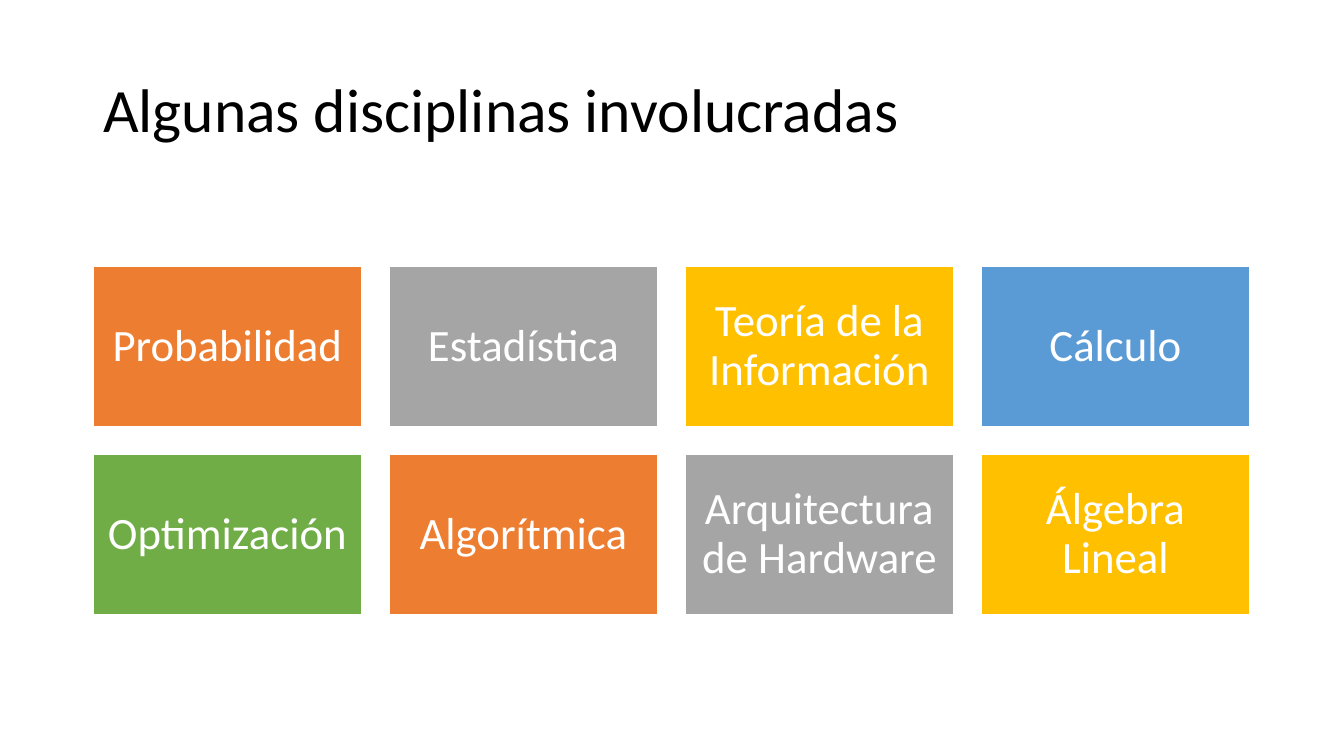
import pptx
import pptx.dml.color
import pptx.enum.shapes
import pptx.enum.text
import pptx.util

RGBColor = pptx.dml.color.RGBColor
ALIGN = pptx.enum.text.PP_ALIGN
MIDDLE = pptx.enum.text.MSO_ANCHOR.MIDDLE

EMU_PER_PX = 914400 / 100.8
FONT = "Calibri"
BLACK = RGBColor(0x00, 0x00, 0x00)
WHITE = RGBColor(0xFF, 0xFF, 0xFF)
ORANGE = RGBColor(0xED, 0x7D, 0x31)
GREY = RGBColor(0xA5, 0xA5, 0xA5)
GOLD = RGBColor(0xFF, 0xC0, 0x00)
BLUE = RGBColor(0x5B, 0x9B, 0xD5)
GREEN = RGBColor(0x70, 0xAD, 0x47)

COLUMNS = 4
GRID_LEFT, GRID_TOP = 93, 266
TILE_WIDTH, TILE_HEIGHT, GAP = 269, 161, 27
TILE_INSET = 13
DISCIPLINES = [
    ("Probabilidad", ORANGE),
    ("Estadística", GREY),
    ("Teoría de la Información", GOLD),
    ("Cálculo", BLUE),
    ("Optimización", GREEN),
    ("Algorítmica", ORANGE),
    ("Arquitectura de Hardware", GREY),
    ("Álgebra Lineal", GOLD),
]


def px(length):
    return pptx.util.Emu(round(length * EMU_PER_PX))


def write_text(box, text, size, color, align):
    frame = box.text_frame
    frame.word_wrap = True
    frame.auto_size = pptx.enum.text.MSO_AUTO_SIZE.NONE
    frame.vertical_anchor = MIDDLE
    para = frame.paragraphs[0]
    para.alignment = align
    para.line_spacing = 0.9
    span = para.add_run()
    span.text = text
    span.font.name = FONT
    span.font.size = pptx.util.Pt(size)
    span.font.color.rgb = color


def add_title(page, text):
    title = page.shapes.title
    title.left, title.top = px(93), px(40)
    title.width, title.height = px(1159), px(146)
    write_text(title, text, 44, BLACK, ALIGN.LEFT)


def add_tile(page, left, top, text, fill):
    tile = page.shapes.add_shape(
        pptx.enum.shapes.MSO_SHAPE.RECTANGLE,
        px(left), px(top), px(TILE_WIDTH), px(TILE_HEIGHT))
    tile.shadow.inherit = False
    tile.fill.solid()
    tile.fill.fore_color.rgb = fill
    tile.line.color.rgb = WHITE
    tile.line.width = pptx.util.Pt(1)
    frame = tile.text_frame
    frame.margin_left = frame.margin_right = px(TILE_INSET)
    frame.margin_top = frame.margin_bottom = px(TILE_INSET)
    write_text(tile, text, 32, WHITE, ALIGN.CENTER)


def main():
    deck = pptx.Presentation()
    deck.slide_width, deck.slide_height = px(1344), px(756)
    page = deck.slides.add_slide(deck.slide_layouts.get_by_name("Title Only"))
    add_title(page, "Algunas disciplinas involucradas")
    for index, (name, fill) in enumerate(DISCIPLINES):
        row, column = divmod(index, COLUMNS)
        add_tile(page, GRID_LEFT + column * (TILE_WIDTH + GAP),
                 GRID_TOP + row * (TILE_HEIGHT + GAP), name, fill)
    deck.save("out.pptx")


if __name__ == "__main__":
    main()
